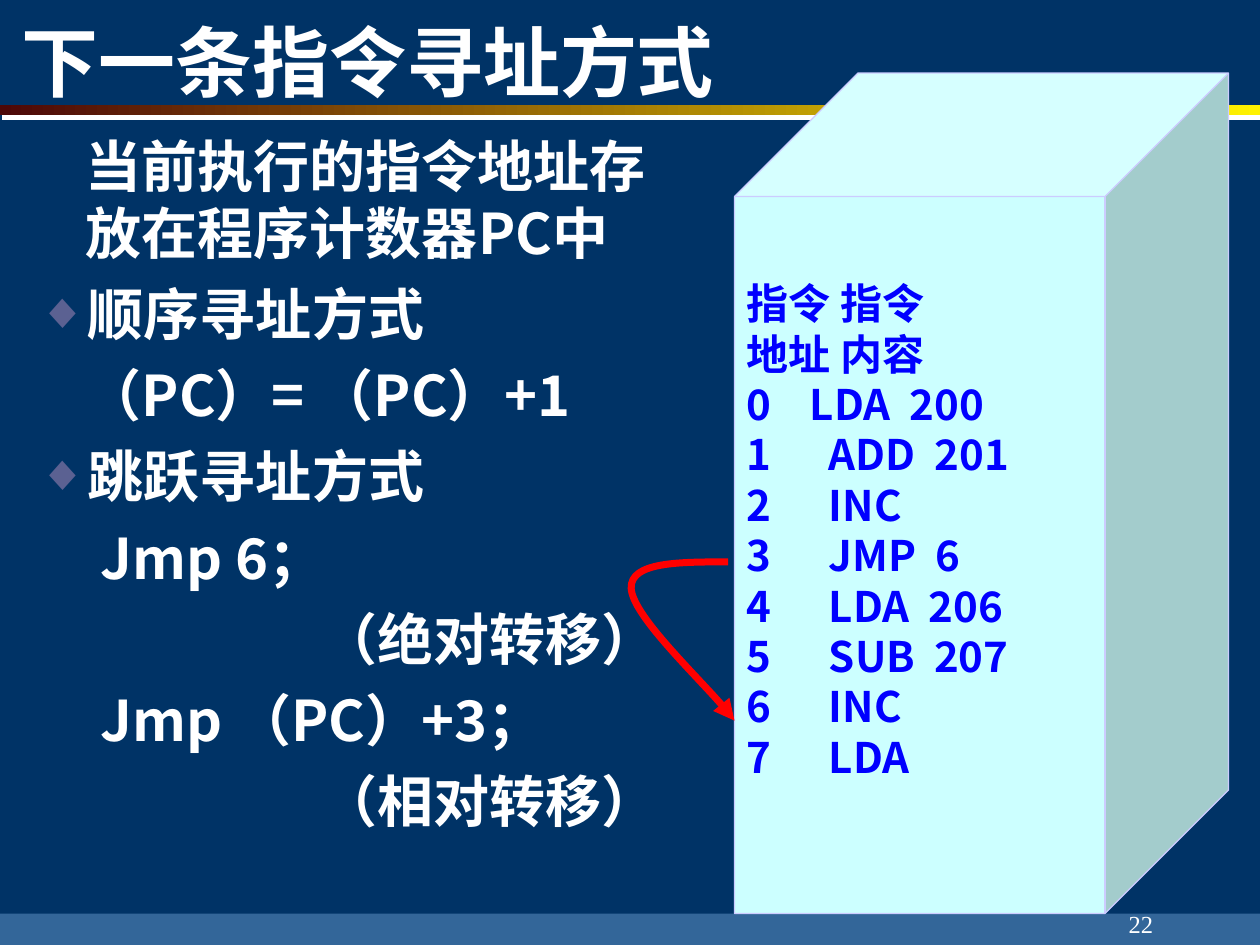
"""Build the slide on how the next instruction is addressed."""
from lxml.etree import SubElement
from pptx import Presentation
from pptx.dml.color import RGBColor
from pptx.enum.shapes import MSO_SHAPE
from pptx.enum.text import MSO_ANCHOR, MSO_AUTO_SIZE, PP_ALIGN
from pptx.oxml.ns import qn
from pptx.util import Inches, Pt

THEME = {
    "background": "003366", "footer": "336699", "text": "FFFFFF",
    "bar_start": "4D0808", "bar_end": "FFF200", "bullet": "5B6192",
    "cube": "CCFFFF", "cube_line": "CCCCFF", "code": "0000FF", "arrow": "FF0000",
    "title_font": "Montserrat", "font": "Noto Sans CJK SC", "number_font": "Times New Roman",
    "title_size": 44, "body_size": 32, "code_size": 24, "number_size": 14,
}
TITLE = "下一条指令寻址方式"
BODY = [
    ("plain", "当前执行的指令地址存放在程序计数器PC中"),
    ("bullet", "顺序寻址方式"),
    ("plain", "（PC）= （PC）+1"),
    ("bullet", "跳跃寻址方式"),
    ("code", "Jmp 6；"),
    ("note", "（绝对转移）"),
    ("code", "Jmp （PC）+3；"),
    ("note", "（相对转移）"),
]
BODY_INDENTS = {"plain": (0.38, 0), "bullet": (0.38, -0.38),
                "code": (0.81, -0.31), "note": (0.81, -0.31)}
MEMORY_HEADINGS = ["指令 指令", "地址 内容", "0\tLDA  200"]
MEMORY_ROWS = ["ADD  201", "INC", "JMP  6", "LDA  206", "SUB  207", "INC", "LDA"]
JUMP_CURVE = [(5.78, 4.46), (5.39, 4.46), (5, 4.46), (5.01, 4.67),
              (5.02, 4.88), (5.7, 5.53), (5.83, 5.72)]
PAGE_NUMBER = "22"


def color(name):
    return RGBColor.from_string(THEME[name])


def place(shape, left, top, width, height):
    shape.left, shape.top = Inches(left), Inches(top)
    shape.width, shape.height = Inches(width), Inches(height)


def style(paragraph, font, size, font_color, bold=True):
    paragraph.font.name = THEME[font]
    paragraph.font.size = Pt(THEME[size])
    paragraph.font.bold = bold
    paragraph.font.color.rgb = color(font_color)
    properties = paragraph.font._element
    SubElement(properties, qn("a:ea"), typeface=THEME[font])


def indent(paragraph, left, first):
    properties = paragraph._p.get_or_add_pPr()
    properties.set("marL", str(Inches(left)))
    properties.set("indent", str(Inches(first)))
    return properties


def add_bullet(properties, kind, bullet_color=None, **attributes):
    position = properties.index(properties.find(qn("a:defRPr")))
    parts = []
    if bullet_color:
        fill = SubElement(properties, qn("a:buClr"))
        SubElement(fill, qn("a:srgbClr"), val=THEME[bullet_color])
        parts += [fill, SubElement(properties, qn("a:buSzPct"), val="90000")]
    parts.append(SubElement(properties, qn(kind), **attributes))
    for offset, part in enumerate(parts):
        properties.insert(position + offset, part)


def paragraphs_for(frame, texts):
    frame.text = "\n".join(texts)
    return frame.paragraphs


def add_block(slide, preset, box, fill=None):
    shape = slide.shapes.add_shape(preset, *map(Inches, box))
    shape.shadow.inherit = False
    shape.line.fill.background()
    if fill:
        shape.fill.solid()
        shape.fill.fore_color.rgb = color(fill)
    return shape


def add_bars(slide):
    add_block(slide, MSO_SHAPE.RECTANGLE, (0, 7.25, 10, 0.25), "footer")
    bar = add_block(slide, MSO_SHAPE.RECTANGLE, (0, 0.83, 10, 0.08))
    bar.fill.gradient()
    bar.fill.gradient_angle = 0
    for stop, name in zip(bar.fill.gradient_stops, ("bar_start", "bar_end")):
        stop.color.rgb = color(name)
    effects = bar._element.spPr.find(qn("a:effectLst"))
    shadow = SubElement(effects, qn("a:outerShdw"), dist=str(Pt(3.2)),
                        dir=str(72 * 60000), algn="ctr", rotWithShape="0")
    SubElement(shadow, qn("a:srgbClr"), val=THEME["text"])


def fill_title(title):
    place(title, 0, 0, 5.84, 0.96)
    title.text_frame.text = TITLE
    title.text_frame.auto_size = MSO_AUTO_SIZE.NONE
    title.text_frame.vertical_anchor = MSO_ANCHOR.MIDDLE
    paragraph = title.text_frame.paragraphs[0]
    paragraph.alignment = PP_ALIGN.CENTER
    style(paragraph, "title_font", "title_size", "text")


def fill_body(body):
    place(body, 0.2, 0.99, 5.12, 6.06)
    body.text_frame.auto_size = MSO_AUTO_SIZE.NONE
    paragraphs = paragraphs_for(body.text_frame, [text for _, text in BODY])
    for paragraph, (kind, _) in zip(paragraphs, BODY):
        paragraph.level = int(kind in ("code", "note"))
        paragraph.alignment = PP_ALIGN.RIGHT if kind == "note" else PP_ALIGN.LEFT
        paragraph.space_before = Pt(8)
        style(paragraph, "font", "body_size", "text")
        properties = indent(paragraph, *BODY_INDENTS[kind])
        if kind == "bullet":
            add_bullet(properties, "a:buChar", "bullet", char="◆")
        else:
            add_bullet(properties, "a:buNone")


def add_memory(slide):
    cube = add_block(slide, MSO_SHAPE.CUBE, (5.83, 0.58, 3.92, 6.67), "cube")
    cube.line.color.rgb = color("cube_line")
    cube.line.width = Pt(0.75)
    frame = cube.text_frame
    frame.word_wrap = True
    frame.vertical_anchor = MSO_ANCHOR.MIDDLE
    frame.margin_bottom = Inches(0.45)
    paragraphs = paragraphs_for(frame, MEMORY_HEADINGS + MEMORY_ROWS)
    for index, paragraph in enumerate(paragraphs):
        paragraph.alignment = PP_ALIGN.LEFT
        style(paragraph, "font", "code_size", "code")
        if index < len(MEMORY_HEADINGS):
            indent(paragraph, 0.5, -0.5)
        else:
            add_bullet(indent(paragraph, 0.65, -0.65), "a:buAutoNum", type="arabicPlain")


def add_jump_arrow(slide):
    points = [(Inches(x), Inches(y)) for x, y in JUMP_CURVE]
    builder = slide.shapes.build_freeform(*points[0])
    builder.add_line_segments(points[1:], close=False)
    arrow = builder.convert_to_shape()
    arrow.shadow.inherit = False
    arrow.fill.background()
    arrow.line.color.rgb = color("arrow")
    arrow.line.width = Pt(4)
    segments = list(arrow._element.iter(qn("a:lnTo")))
    outline = segments[0].getparent()
    for start in range(0, len(segments), 3):
        curve = SubElement(outline, qn("a:cubicBezTo"))
        for segment in segments[start:start + 3]:
            curve.append(segment[0])
            outline.remove(segment)
    SubElement(arrow.line._get_or_add_ln(), qn("a:tailEnd"), type="triangle")


def add_page_number(slide):
    box = slide.shapes.add_textbox(*map(Inches, (7.17, 7, 2.08, 0.5)))
    box.text_frame.word_wrap = True
    box.text_frame.vertical_anchor = MSO_ANCHOR.BOTTOM
    box.text_frame.text = PAGE_NUMBER
    paragraph = box.text_frame.paragraphs[0]
    paragraph.alignment = PP_ALIGN.RIGHT
    style(paragraph, "number_font", "number_size", "text", bold=False)


def main():
    presentation = Presentation()
    presentation.slide_width, presentation.slide_height = Inches(10), Inches(7.5)
    slide = presentation.slides.add_slide(presentation.slide_layouts[1])
    slide.background.fill.solid()
    slide.background.fill.fore_color.rgb = color("background")
    fill_title(slide.shapes.title)
    fill_body(slide.placeholders[1])
    add_bars(slide)
    add_memory(slide)
    add_jump_arrow(slide)
    add_page_number(slide)
    presentation.save("out.pptx")


if __name__ == "__main__":
    main()
